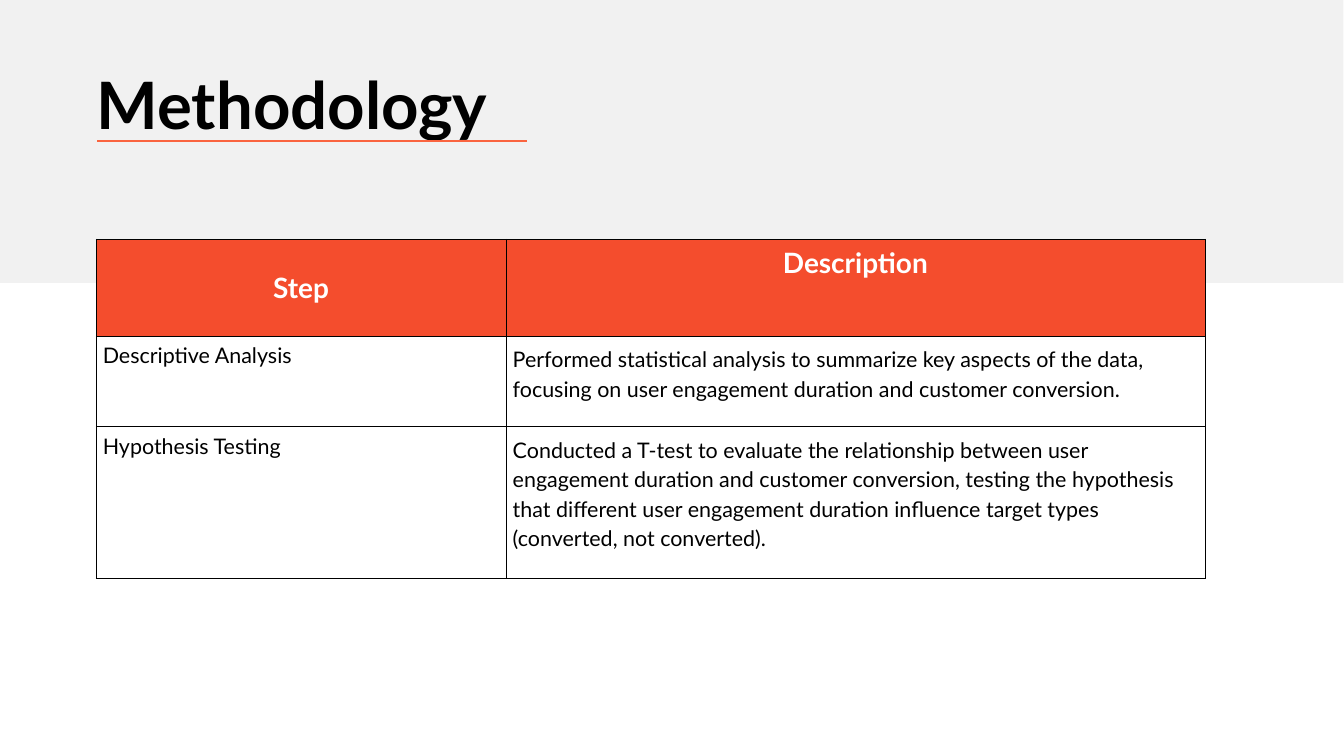
from lxml.etree import SubElement
from pptx import Presentation
from pptx.dml.color import RGBColor
from pptx.enum.shapes import MSO_CONNECTOR, MSO_SHAPE
from pptx.enum.text import MSO_ANCHOR, PP_ALIGN
from pptx.oxml import parse_xml
from pptx.oxml.ns import nsdecls, qn
from pptx.util import Pt

PX = 9144  # 100 px to the inch
FONT = "Lato"
BLACK = RGBColor(0x00, 0x00, 0x00)
WHITE = RGBColor(0xFF, 0xFF, 0xFF)
GREY = RGBColor(0xF1, 0xF1, 0xF1)
RED = RGBColor(0xF4, 0x4D, 0x2D)
ORANGE = RGBColor(0xFA, 0x64, 0x3F)


def add_run(p, text, size, color, bold=False):
    r = p.add_run()
    r.text = text
    r.font.name = FONT
    r.font.size = Pt(size)
    r.font.bold = bold
    r.font.color.rgb = color


def add_borders(cell):
    """Put a thin black line on all four sides of the cell."""
    tcPr = cell._tc.get_or_add_tcPr()
    for i, side in enumerate(("lnL", "lnR", "lnT", "lnB")):
        tcPr.insert(i, parse_xml(
            f'<a:{side} {nsdecls("a")} w="{Pt(0.75)}"><a:solidFill>'
            f'<a:srgbClr val="{BLACK}"/></a:solidFill></a:{side}>'))


prs = Presentation()
prs.slide_width = 2000 * PX
prs.slide_height = 1125 * PX
s = prs.slides.add_slide(prs.slide_layouts[6])

# Grey band
band = s.shapes.add_shape(MSO_SHAPE.RECTANGLE, 0, 0, 1999 * PX, 421 * PX)
band.shadow.inherit = False
band.fill.solid()
band.fill.fore_color.rgb = GREY
band.line.fill.background()

# Title
title = s.shapes.add_textbox(143 * PX, 95 * PX, 643 * PX, 119 * PX)
tf = title.text_frame
tf.word_wrap = True
tf.margin_left = 1 * PX
tf.margin_top = 1 * PX
tf.margin_right = tf.margin_bottom = 0
add_run(tf.paragraphs[0], "Methodology", 70, BLACK, True)

# Table: text, space before and line spacing of each cell
rows = [
    [("Step", 21.6, None), ("Description", 21.6, None)],
    [("Descriptive Analysis", 21.6, None),
     ("Performed statistical analysis to summarize key aspects of the data, "
      "focusing on user engagement duration and customer conversion.", 0.1, 1.14)],
    [("Hypothesis Testing", 0.1, None),
     ("Conducted a T-test to evaluate the relationship between user engagement "
      "duration and customer conversion, testing the hypothesis that different "
      "user engagement duration influence target types (converted, not "
      "converted).", 0, 1.14)],
]
widths = [610, 1040]
heights = [144, 135, 226]
table = s.shapes.add_table(len(rows), len(widths), 143 * PX, 356 * PX,
                           sum(widths) * PX, sum(heights) * PX).table
for col, width in zip(table.columns, widths):
    col.width = width * PX
for row, height in zip(table.rows, heights):
    row.height = height * PX

for i, row in enumerate(rows):
    header = i == 0
    for j, (text, before, spacing) in enumerate(row):
        cell = table.cell(i, j)
        cell.fill.solid()
        cell.fill.fore_color.rgb = RED if header else WHITE
        add_borders(cell)
        cell.margin_left = cell.margin_right = 10 * PX
        cell.margin_top = cell.margin_bottom = 10 * PX
        p = cell.text_frame.paragraphs[0]
        p.alignment = PP_ALIGN.CENTER if header else PP_ALIGN.LEFT
        p.space_before = Pt(before)
        p.line_spacing = spacing
        add_run(p, text, 30 if header else 23, WHITE if header else BLACK, header)
table.cell(0, 0).vertical_anchor = MSO_ANCHOR.MIDDLE

# Title underline
rule = s.shapes.add_connector(MSO_CONNECTOR.STRAIGHT,
                              145 * PX, 210 * PX, 784 * PX, 210 * PX)
rule.line.color.rgb = ORANGE
rule.line.width = Pt(1.5)
SubElement(rule._element.spPr, qn("a:effectLst"))

prs.save("out.pptx")
